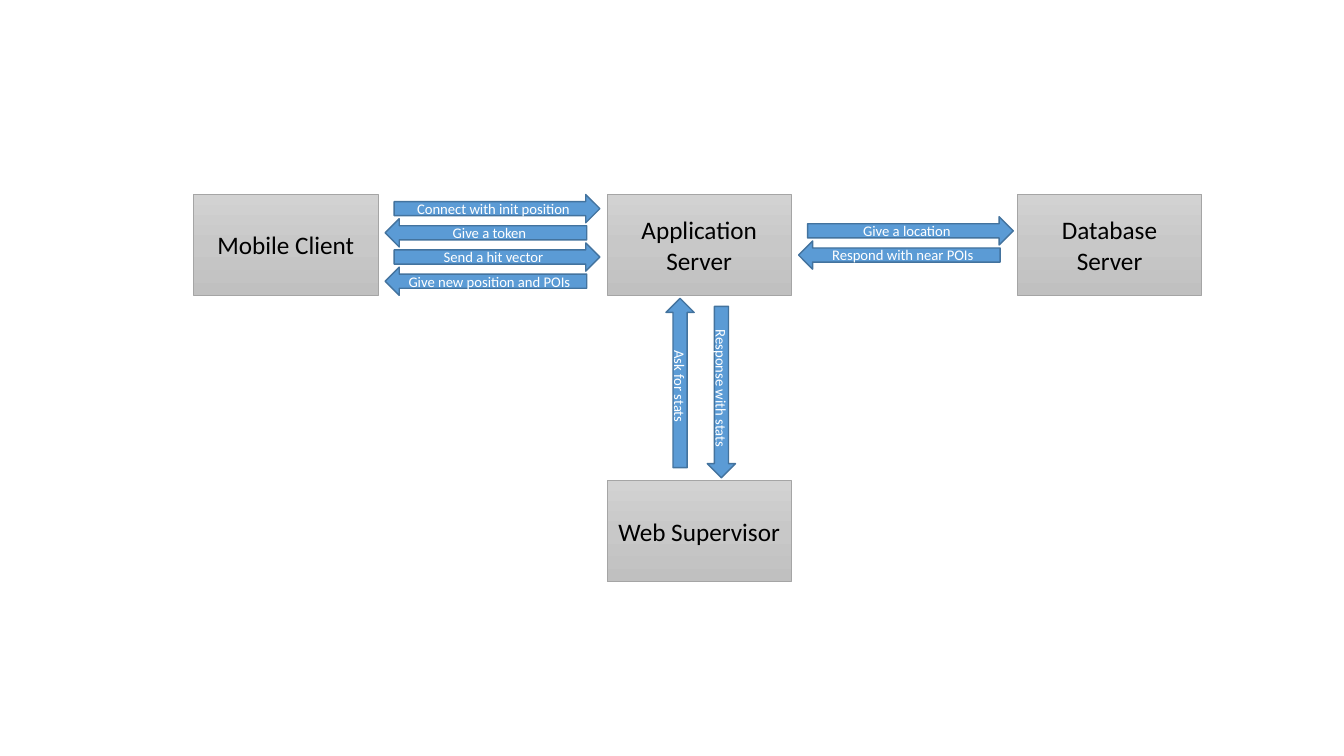
"""Build a slide showing the messages between clients, servers and supervisor."""
import copy

import pptx
import pptx.dml.color
import pptx.enum.shapes
import pptx.enum.text
import pptx.oxml.ns
import pptx.util

Inches = pptx.util.Inches
Shapes = pptx.enum.shapes.MSO_SHAPE

deck = pptx.Presentation()
deck.slide_width, deck.slide_height = Inches(13.33), Inches(7.5)
page = deck.slides.add_slide(deck.slide_layouts[6])


def color(hex_string):
    return pptx.dml.color.RGBColor.from_string(hex_string)


def add_labelled(text, *, kind, left, top, width, height, size, ink, edge, edge_width):
    shape = page.shapes.add_shape(
        kind, Inches(left), Inches(top), Inches(width), Inches(height))
    shape.shadow.inherit = False
    shape.line.color.rgb = color(edge)
    shape.line.width = pptx.util.Pt(edge_width)
    frame = shape.text_frame
    frame.word_wrap = True
    frame.vertical_anchor = pptx.enum.text.MSO_ANCHOR.MIDDLE
    para = frame.paragraphs[0]
    para.alignment = pptx.enum.text.PP_ALIGN.CENTER
    span = para.add_run()
    span.text = text
    span.font.name = "Calibri"
    span.font.size = pptx.util.Pt(size)
    span.font.color.rgb = color(ink)
    return shape


column_lefts = (1.92, 6.02, 10.09)
row_tops = (1.93, 4.77)
box_width, box_height = 1.83, 1
box_style = dict(kind=Shapes.RECTANGLE, width=box_width, height=box_height,
                 size=18, ink="000000", edge="A5A5A5", edge_width=0.5)
gradient = ((0, "D2D2D2"), (0.5, "C8C8C8"), (1, "C0C0C0"))

for name, column, row in (
    ("Mobile Client", 0, 0),
    ("Application Server", 1, 0),
    ("Database Server", 2, 0),
    ("Web Supervisor", 1, 1),
):
    box = add_labelled(name, left=column_lefts[column], top=row_tops[row], **box_style)
    box.fill.gradient()
    box.fill.gradient_angle = 270
    stops = box.element.find(".//" + pptx.oxml.ns.qn("a:gsLst"))
    stops.insert(1, copy.deepcopy(stops[0]))
    for stop, (position, shade) in zip(box.fill.gradient_stops, gradient):
        stop.position = position
        stop.color.rgb = color(shade)

arrow_height, lane_pitch = 0.28, 0.24
arrow_style = dict(height=arrow_height, size=10.5, ink="FFFFFF",
                   edge="43739E", edge_width=1)
arrows = []

for column, first_lane, messages in (
    (0, 1.93, ("Connect with init position", "Give a token",
               "Send a hit vector", "Give new position and POIs")),
    (1, 2.15, ("Give a location", "Respond with near POIs")),
):
    box_right = column_lefts[column] + box_width
    for lane, message in enumerate(messages):
        kind, gap, width = ((Shapes.RIGHT_ARROW, 0.16, 2.04),
                            (Shapes.LEFT_ARROW, 0.07, 2))[lane % 2]
        arrows.append(add_labelled(
            message, kind=kind, left=box_right + gap,
            top=first_lane + lane * lane_pitch, width=width, **arrow_style))

server_middle = column_lefts[1] + box_width / 2
for message, kind, offset, center_y, length in (
    ("Response with stats", Shapes.RIGHT_ARROW, 0.22, 3.89, 1.7),
    ("Ask for stats", Shapes.LEFT_ARROW, -0.19, 3.8, 1.68),
):
    arrow = add_labelled(
        message, kind=kind, left=server_middle + offset - length / 2,
        top=center_y - arrow_height / 2, width=length, **arrow_style)
    arrow.rotation = 90
    arrows.append(arrow)

for arrow in arrows:
    arrow.fill.solid()
    arrow.fill.fore_color.rgb = color("5B9BD5")

deck.save("out.pptx")
